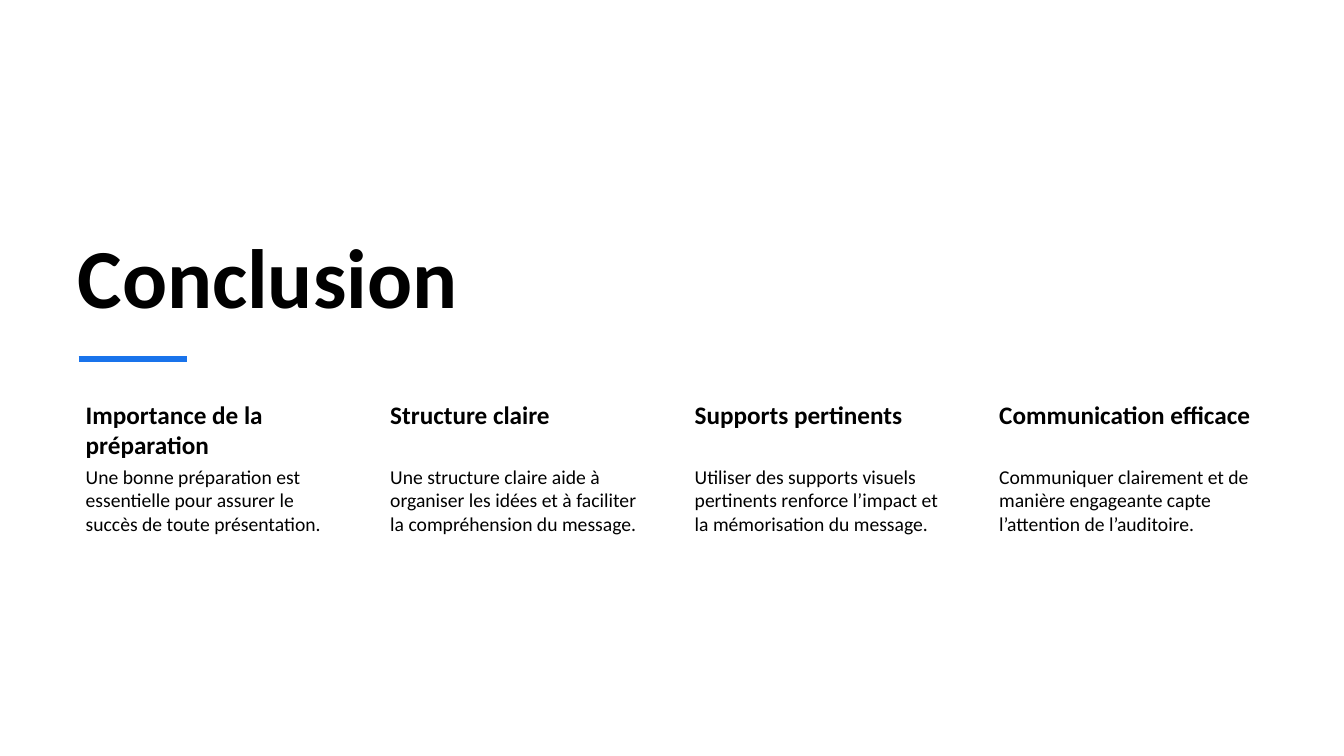
from dataclasses import dataclass

from lxml.etree import SubElement
from pptx import Presentation
from pptx.dml.color import RGBColor
from pptx.enum.shapes import MSO_CONNECTOR
from pptx.enum.text import MSO_ANCHOR, MSO_AUTO_SIZE, PP_ALIGN
from pptx.oxml.ns import qn
from pptx.shapes.shapetree import GroupShapes
from pptx.slide import Slide
from pptx.text.text import TextFrame
from pptx.util import Inches, Pt

BLACK = RGBColor(0x00, 0x00, 0x00)
BLUE = RGBColor(0x19, 0x73, 0xEB)
FONT = "Calibri"

# Grid in inches: four columns, one heading row above one body row
LEFT = 0.7
COLUMN_WIDTH = 2.75
COLUMN_PITCH = 3.02
HEADING_TOP, HEADING_HEIGHT = 3.93, 0.66
BODY_TOP, BODY_HEIGHT = HEADING_TOP + HEADING_HEIGHT, 2.08
TEXT_INDENT = 0.15
RULE_LEFT, RULE_RIGHT, RULE_Y = 0.78, 1.85, 3.56


@dataclass(frozen=True)
class Takeaway:
    heading: str
    body: str


@dataclass(frozen=True)
class Row:
    top: float
    height: float
    margin: float
    size: int
    bold: bool


HEADING_ROW = Row(HEADING_TOP, HEADING_HEIGHT, 0.03, 18, True)
BODY_ROW = Row(BODY_TOP, BODY_HEIGHT, 0.02, 14, False)

TAKEAWAYS = [
    Takeaway("Importance de la préparation",
             "Une bonne préparation est essentielle pour assurer le succès "
             "de toute présentation."),
    Takeaway("Structure claire",
             "Une structure claire aide à organiser les idées et à faciliter "
             "la compréhension du message."),
    Takeaway("Supports pertinents",
             "Utiliser des supports visuels pertinents renforce l’impact et "
             "la mémorisation du message."),
    Takeaway("Communication efficace",
             "Communiquer clairement et de manière engageante capte "
             "l’attention de l’auditoire."),
]


def write(tf: TextFrame, text: str, size: int, bold: bool) -> None:
    tf.text = text
    tf.word_wrap = True
    tf.auto_size = MSO_AUTO_SIZE.NONE
    p = tf.paragraphs[0]
    p.alignment = PP_ALIGN.LEFT
    font = p.runs[0].font
    font.name, font.size, font.bold = FONT, Pt(size), bold
    font.color.rgb = BLACK


def add_title(slide: Slide, text: str) -> None:
    title = slide.shapes.title
    title.left, title.top = Inches(LEFT), Inches(1.72)
    title.width, title.height = Inches(8.93), Inches(1.54)
    tf = title.text_frame
    write(tf, text, 60, True)
    tf.vertical_anchor = MSO_ANCHOR.BOTTOM
    tf.margin_left, tf.margin_bottom = Inches(0.07), Inches(0.03)


def add_cell(shapes: GroupShapes, column: int, row: Row, text: str) -> None:
    box = shapes.add_textbox(Inches(LEFT + column * COLUMN_PITCH), Inches(row.top),
                             Inches(COLUMN_WIDTH), Inches(row.height))
    tf = box.text_frame
    write(tf, text, row.size, row.bold)
    tf.vertical_anchor = MSO_ANCHOR.TOP
    tf.margin_left = Inches(TEXT_INDENT)
    tf.margin_top = tf.margin_right = tf.margin_bottom = Inches(row.margin)


def add_rule(slide: Slide) -> None:
    rule = slide.shapes.add_connector(MSO_CONNECTOR.STRAIGHT, Inches(RULE_LEFT),
                                      Inches(RULE_Y), Inches(RULE_RIGHT), Inches(RULE_Y))
    rule.line.color.rgb = BLUE
    rule.line.width = Pt(4.5)
    SubElement(rule._element.spPr, qn("a:effectLst"))


def main() -> None:
    prs = Presentation()
    prs.slide_width, prs.slide_height = Inches(13.33), Inches(7.5)
    slide = prs.slides.add_slide(prs.slide_layouts[5])

    # Title
    add_title(slide, "Conclusion")

    # Takeaway columns
    columns = slide.shapes.add_group_shape()
    for i, takeaway in enumerate(TAKEAWAYS):
        add_cell(columns.shapes, i, HEADING_ROW, takeaway.heading)
        add_cell(columns.shapes, i, BODY_ROW, takeaway.body)

    # Accent rule under the title
    add_rule(slide)

    prs.save("out.pptx")


if __name__ == "__main__":
    main()
